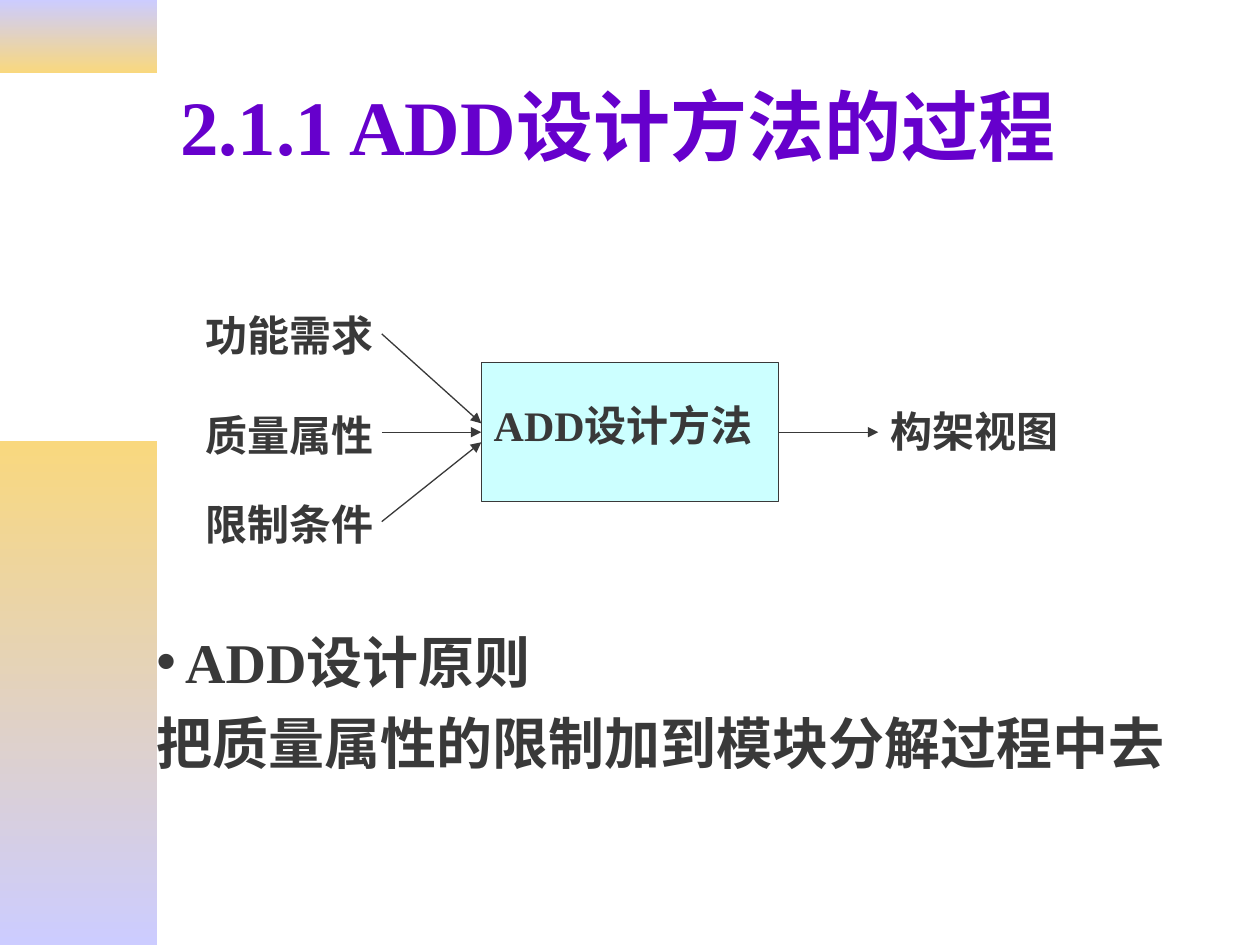
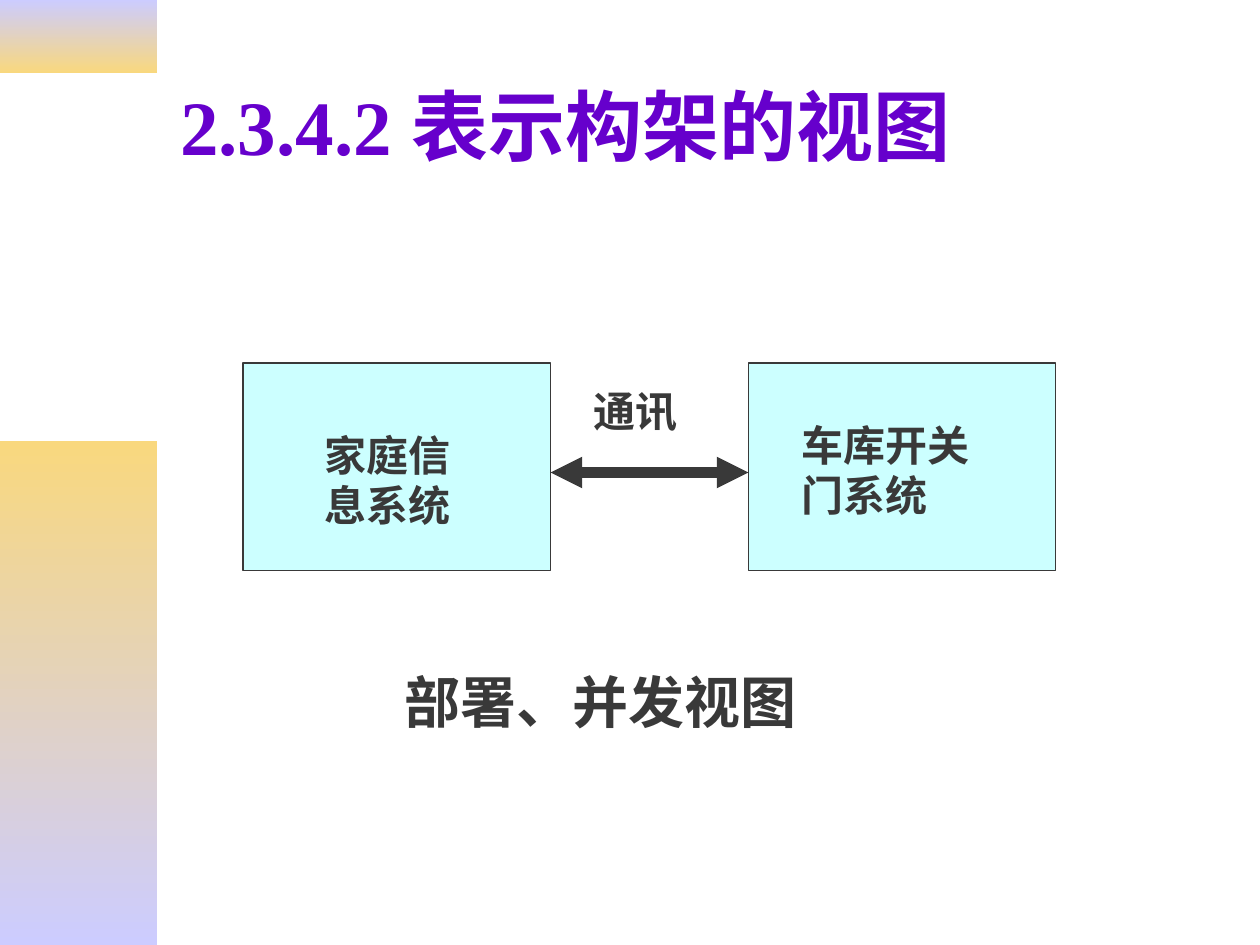
"""Build two slides on the ADD design method and an architecture view."""
import lxml.etree
import pptx
import pptx.dml.color
import pptx.enum.shapes
import pptx.enum.text
import pptx.oxml.ns
import pptx.util

Inches = pptx.util.Inches
Pt = pptx.util.Pt
RGBColor = pptx.dml.color.RGBColor
RECTANGLE = pptx.enum.shapes.MSO_SHAPE.RECTANGLE
STRAIGHT = pptx.enum.shapes.MSO_CONNECTOR.STRAIGHT
ANCHOR = pptx.enum.text.MSO_ANCHOR
AUTO_SIZE = pptx.enum.text.MSO_AUTO_SIZE
LEFT = pptx.enum.text.PP_ALIGN.LEFT
qn = pptx.oxml.ns.qn

LAVENDER = RGBColor(0xCC, 0xCC, 0xFF)
GOLD = RGBColor(0xF9, 0xD8, 0x7E)
PURPLE = RGBColor(0x66, 0x00, 0xCC)
CHARCOAL = RGBColor(0x39, 0x39, 0x39)
PALE_CYAN = RGBColor(0xCC, 0xFF, 0xFF)

BANDS = (
    (0, 0.58, (LAVENDER, GOLD)),
    (3.5, 4, (GOLD, LAVENDER)),
)
TITLE_FONT = {"name": "Times New Roman", "size": Pt(44), "bold": True}
BODY_FONT = {**TITLE_FONT, "size": Pt(32)}
LABEL_FONT = {**TITLE_FONT, "size": Pt(24)}
FRAME = {"word_wrap": True, "auto_size": AUTO_SIZE.NONE, "vertical_anchor": ANCHOR.TOP}
TITLE_FRAME = {**FRAME, "vertical_anchor": ANCHOR.MIDDLE}
FIRST_PARAGRAPH = {"alignment": LEFT, "space_before": Pt(0)}
NEXT_PARAGRAPH = {**FIRST_PARAGRAPH, "space_before": Pt(8)}


def apply_format(target, values):
    """Set each attribute named in values on the target."""
    for name, value in values.items():
        setattr(target, name, value)


def place(shape, left, top, width, height):
    """Move and size a shape, in inches."""
    names = ("left", "top", "width", "height")
    apply_format(shape, dict(zip(names, map(Inches, (left, top, width, height)))))


def write(paragraph, text, font_format, color=CHARCOAL, paragraph_format=FIRST_PARAGRAPH):
    """Write one formatted run into a paragraph."""
    apply_format(paragraph, paragraph_format)
    run = paragraph.add_run()
    run.text = text
    apply_format(run.font, font_format)
    run.font.color.rgb = color


def add_band(slide, top, height, colors):
    """Add a vertical gradient band at the left edge, behind everything else."""
    band = slide.shapes.add_shape(RECTANGLE, 0, Inches(top), Inches(1.25), Inches(height))
    band.shadow.inherit = False
    band.line.fill.background()
    band.fill.gradient()
    band.fill.gradient_angle = 270
    for stop, position, color in zip(band.fill.gradient_stops, (0, 1), colors):
        apply_format(stop, {"position": position})
        stop.color.rgb = color
    band.element.getparent().insert(2, band.element)


def add_slide(presentation, layout_index, title):
    """Add a slide with the shared bands and title style."""
    slide = presentation.slides.add_slide(presentation.slide_layouts[layout_index])
    for band in BANDS:
        add_band(slide, *band)
    place(slide.shapes.title, 1.33, 0.33, 8.5, 1.32)
    frame = slide.shapes.title.text_frame
    apply_format(frame, TITLE_FRAME)
    write(frame.paragraphs[0], title, TITLE_FONT, PURPLE)
    return slide


def add_label(slide, text, left, top, width, height=0.5, font_format=LABEL_FONT):
    """Add a wrapped text label."""
    label = slide.shapes.add_textbox(*map(Inches, (left, top, width, height)))
    apply_format(label.text_frame, FRAME)
    write(label.text_frame.paragraphs[0], text, font_format)


def add_box(slide, left, top, width, height):
    """Add an outlined diagram box."""
    box = slide.shapes.add_shape(RECTANGLE, *map(Inches, (left, top, width, height)))
    box.shadow.inherit = False
    box.fill.solid()
    box.fill.fore_color.rgb = PALE_CYAN
    box.line.color.rgb = CHARCOAL
    box.line.width = Pt(0.75)


def add_arrow(slide, start, end, width=0.75, ends=("tailEnd",)):
    """Add a straight arrow with triangles at the given ends."""
    arrow = slide.shapes.add_connector(STRAIGHT, *map(Inches, start + end))
    arrow.line.color.rgb = CHARCOAL
    arrow.line.width = Pt(width)
    properties = arrow.element.spPr
    line = properties.find(qn("a:ln"))
    for name in ends:
        lxml.etree.SubElement(line, qn("a:" + name), type="triangle")
    lxml.etree.SubElement(properties, qn("a:effectLst"))


def set_bullet(paragraph, character=None, indent=0):
    """Give a paragraph a hanging bullet, or none."""
    properties = paragraph._p.get_or_add_pPr()
    properties.set("marL", str(Inches(indent)))
    properties.set("indent", str(-Inches(indent)))
    if character:
        lxml.etree.SubElement(properties, qn("a:buChar"), char=character)
    else:
        lxml.etree.SubElement(properties, qn("a:buNone"))


def fill_principle(body):
    """Write the design principle into the body placeholder."""
    place(body, 1.14, 4.93, 8.27, 1.28)
    frame = body.text_frame
    apply_format(frame, FRAME)
    heading, statement = frame.paragraphs[0], frame.add_paragraph()
    set_bullet(heading, "•", 0.23)
    write(heading, "ADD设计原则", BODY_FONT)
    set_bullet(statement)
    write(statement, "把质量属性的限制加到模块分解过程中去", BODY_FONT,
          paragraph_format=NEXT_PARAGRAPH)


def build_process_slide(presentation):
    """Show the inputs and the output of the ADD method."""
    slide = add_slide(presentation, 1, "2.1.1 ADD设计方法的过程")
    box_left, box_right, middle = 3.82, 6.18, 3.43
    add_box(slide, box_left, 2.88, box_right - box_left, 1.1)
    add_label(slide, "ADD设计方法", box_left, 3.12, box_right - box_left)
    inputs = (
        ("功能需求", 2.41, 2.65, 3.36),
        ("质量属性", 3.2, middle, middle),
        ("限制条件", 3.91, 4.14, 3.51),
    )
    for text, top, start, end in inputs:
        add_label(slide, text, 1.53, top, 1.65)
        add_arrow(slide, (3.03, start), (box_left, end))
    add_arrow(slide, (box_right, middle), (6.97, middle))
    add_label(slide, "构架视图", 6.97, 3.17, 1.73)
    fill_principle(slide.placeholders[1])


def build_view_slide(presentation):
    """Show the deployment and concurrency view."""
    slide = add_slide(presentation, 5, "2.3.4.2 表示构架的视图")
    box_width, home_left, garage_left = 2.44, 1.93, 5.94
    for left in (home_left, garage_left):
        add_box(slide, left, 2.88, box_width, 1.65)
    add_label(slide, "家庭信息系统", 2.48, 3.36, 1.5, 0.9)
    add_label(slide, "车库开关门系统", 6.26, 3.28, 1.73, 0.9)
    add_arrow(slide, (home_left + box_width, 3.75), (garage_left, 3.75), 6,
              ("headEnd", "tailEnd"))
    add_label(slide, "通讯", 4.61, 3.01, 1.1)
    add_label(slide, "部署、并发视图", 3.11, 5.25, 3.78, 0.64, BODY_FONT)


def main():
    """Build and save the presentation."""
    presentation = pptx.Presentation()
    apply_format(presentation, {"slide_width": Inches(10), "slide_height": Inches(7.5)})
    build_process_slide(presentation)
    build_view_slide(presentation)
    presentation.save("out.pptx")


if __name__ == "__main__":
    main()
